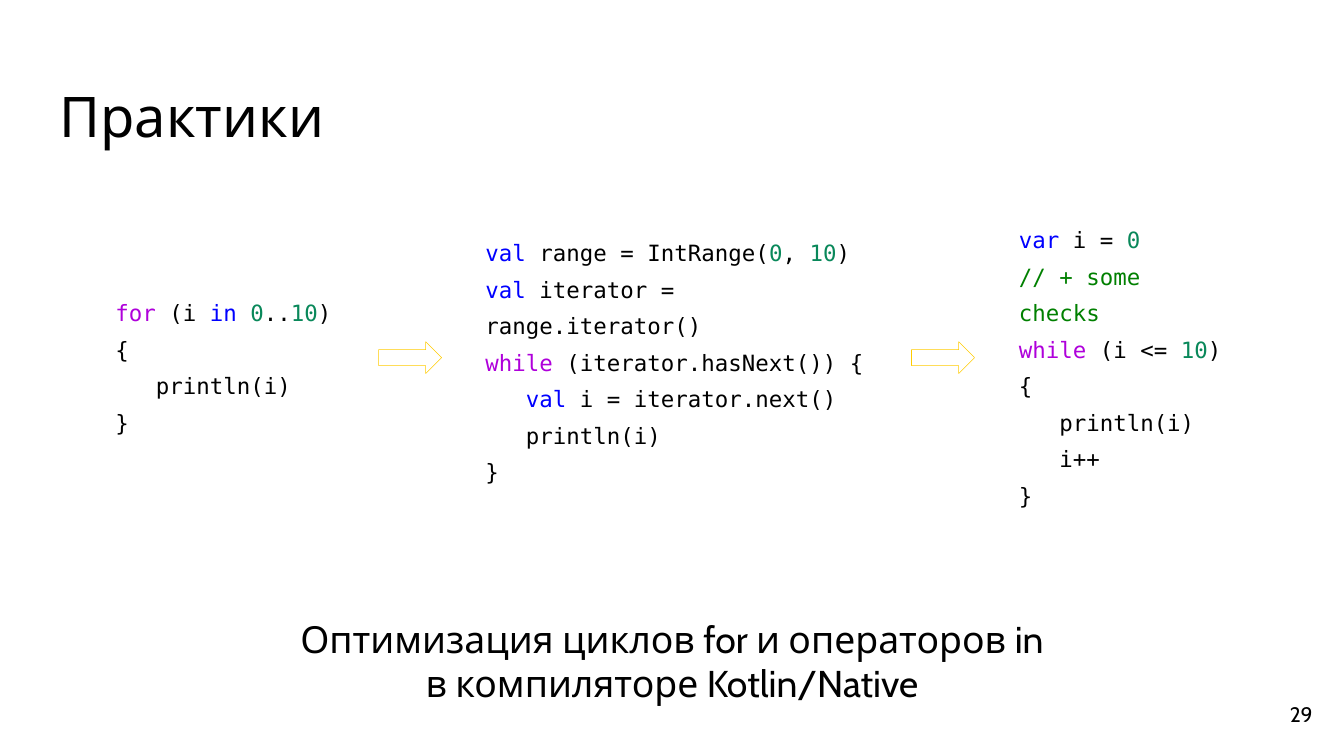
"""Build the slide on optimising for loops in the compiler."""
from dataclasses import dataclass

from pptx import Presentation
from pptx.dml.color import RGBColor
from pptx.enum.shapes import MSO_SHAPE as Shape
from pptx.enum.text import MSO_ANCHOR as Anchor, PP_ALIGN as Align
from pptx.slide import Slide
from pptx.util import Pt

BLACK = RGBColor(0x00, 0x00, 0x00)
WHITE = RGBColor(0xFF, 0xFF, 0xFF)
YELLOW = RGBColor(0xFF, 0xCC, 0x00)
PURPLE = RGBColor(0xAF, 0x00, 0xDB)
BLUE = RGBColor(0x00, 0x00, 0xFF)
TEAL = RGBColor(0x09, 0x88, 0x5A)
GREEN = RGBColor(0x00, 0x80, 0x00)

ZERO, TEN = ("0", TEAL), ("10", TEAL)
VAL, WHILE = ("val", BLUE), ("while", PURPLE)
PRINT, CLOSE = [("   println(i)", BLACK)], [("}", BLACK)]

FOR_LOOP = [
    [("for", PURPLE), (" (i ", BLACK), ("in ", BLUE), ZERO, ("..", BLACK), TEN, (") {", BLACK)],
    PRINT,
    CLOSE,
]
ITERATOR_LOOP = [
    [VAL, (" range = IntRange(", BLACK), ZERO, (", ", BLACK), TEN, (")", BLACK)],
    [VAL, (" iterator = range.iterator()", BLACK)],
    [WHILE, (" (iterator.hasNext()) {", BLACK)],
    [("   ", BLACK), VAL, (" i = iterator.next()", BLACK)],
    PRINT,
    CLOSE,
]
COUNTER_LOOP = [
    [("var", BLUE), (" i = ", BLACK), ZERO],
    [("// + some checks", GREEN)],
    [WHILE, (" (i <= ", BLACK), TEN, (") {", BLACK)],
    PRINT,
    [("   i++", BLACK)],
    CLOSE,
]


@dataclass
class Painter:
    """Hold the style and the current slide."""

    page: Slide
    text_font: str = "Cabin"
    code_font: str = "DejaVu Sans Mono"
    code_size: float = 32
    code_spacing: float = 1.36
    inset: float = 19.44

    def frame(self, left, top, width, height, anchor):
        """Add an empty wrapping text box and return its text frame."""
        box = self.page.shapes.add_textbox(Pt(left), Pt(top), Pt(width), Pt(height))
        frame = box.text_frame
        frame.word_wrap = True
        frame.vertical_anchor = anchor
        frame.margin_left = frame.margin_right = Pt(self.inset)
        frame.margin_top = frame.margin_bottom = Pt(self.inset)
        return frame

    def text(self, place, words, size, align=Align.LEFT, anchor=Anchor.TOP, spacing=None):
        """Add one paragraph of plain text."""
        para = self.frame(*place, anchor).paragraphs[0]
        para.text = words
        para.alignment = align
        para.line_spacing = spacing
        para.font.name = self.text_font
        para.font.size = Pt(size)
        para.font.color.rgb = BLACK

    def code(self, place, lines):
        """Add a listing with coloured tokens."""
        frame = self.frame(*place, Anchor.MIDDLE)
        for index, line in enumerate(lines):
            para = frame.add_paragraph() if index else frame.paragraphs[0]
            para.line_spacing = self.code_spacing
            para.font.name = self.code_font
            para.font.size = Pt(self.code_size)
            for token, color in line:
                span = para.add_run()
                span.text = token
                span.font.color.rgb = color

    def arrow(self, left, top, width, height):
        """Add an outlined arrow pointing right."""
        arrow = self.page.shapes.add_shape(
            Shape.RIGHT_ARROW, Pt(left), Pt(top), Pt(width), Pt(height))
        arrow.shadow.inherit = False
        arrow.fill.background()
        arrow.line.color.rgb = YELLOW
        arrow.line.width = Pt(0.75)


def main():
    """Draw the slide and save it."""
    deck = Presentation()
    deck.slide_width, deck.slide_height = Pt(1919.52), Pt(1080)
    page = deck.slides.add_slide(deck.slide_layouts[6])
    page.background.fill.solid()
    page.background.fill.fore_color.rgb = WHITE
    painter = Painter(page)

    painter.text((65.5, 93.6, 1789.2, 120.2), "Практики", 80, spacing=Pt(100))
    painter.text((1779.1, 979.2, 115.2, 82.8), "29", 30, Align.RIGHT, Anchor.MIDDLE)
    painter.code((145.4, 359.3, 352.1, 317.5), FOR_LOOP)
    painter.code((673.9, 288.7, 584.6, 444.2), ITERATOR_LOOP)
    painter.code((1435.7, 301, 339.1, 434.2), COUNTER_LOOP)
    for left in (540.7, 1301.8):
        painter.arrow(left, 488.2, 90, 45.4)
    painter.text(
        (406.8, 860.4, 1105.9, 143.3),
        "Оптимизация циклов for и операторов in в компиляторе Kotlin/Native",
        53.3, Align.CENTER)

    deck.save("out.pptx")


if __name__ == "__main__":
    main()
